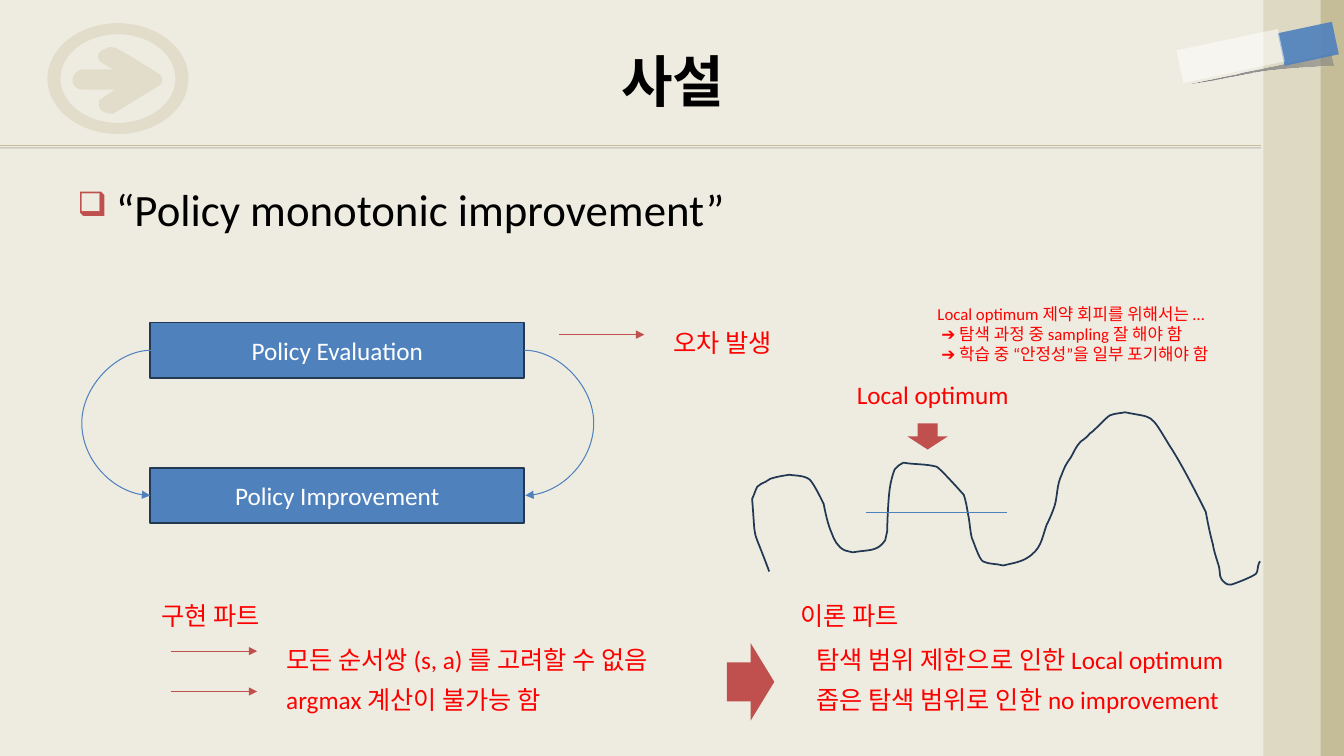
from itertools import chain

from lxml.etree import SubElement
from pptx import Presentation
from pptx.dml.color import RGBColor
from pptx.enum.shapes import MSO_CONNECTOR, MSO_SHAPE
from pptx.enum.text import MSO_ANCHOR, MSO_AUTO_SIZE, PP_ALIGN
from pptx.oxml.ns import qn
from pptx.util import Inches, Pt

COLORS = {
    "paper": "EEECE1", "sand": "C4BD97", "light sand": "DDD9C3", "blue": "4F81BD",
    "navy": "233953", "brick": "C0504D", "red": "FF0000", "white": "FFFFFF",
    "black": "000000", "gray": "808080",
}
FONT = "Calibri"
TITLE = "사설"
HEADLINE = "“Policy monotonic improvement”"
STEPS = [("Policy Evaluation", 3.2), ("Policy Improvement", 4.64)]
STEP_LEFT, STEP_WIDTH, STEP_HEIGHT = 1.49, 3.71, 0.55
LOOP_BULGE = 0.7

# lines, left, top, width, height, size
NOTES = [
    (["오차 발생"], 6.58, 3.2, 1.26, 0.4, 18),
    (["모든 순서쌍 (s, a) 를 고려할 수 없음"], 2.74, 6.34, 4.03, 0.4, 18),
    (["argmax 계산이 불가능 함"], 2.74, 6.74, 2.91, 0.4, 18),
    (["구현 파트"], 1.5, 5.91, 1.26, 0.4, 18),
    (["탐색 범위 제한으로 인한 Local optimum"], 8, 6.34, 4.55, 0.4, 18),
    (["좁은 탐색 범위로 인한 no improvement"], 8, 6.74, 4.41, 0.4, 18),
    (["이론 파트"], 7.84, 5.91, 1.26, 0.4, 18),
    (["Local optimum"], 8.4, 3.71, 1.77, 0.4, 18),
    (["Local optimum 제약 회피를 위해서는 …",
      " ➔ 탐색 과정 중 sampling 잘 해야 함",
      " ➔ 학습 중 “안정성”을 일부 포기해야 함"], 9.2, 2.96, 3.1, 0.71, 12),
]
NOTE_ARROWS = [(5.54, 3.32), (1.7, 6.46), (1.7, 6.86)]
NOTE_ARROW_LENGTH = 0.85
BLOCK_ARROWS = [(7.21, 6.38, 0.47, 0.77, 0), (9.07, 4.13, 0.26, 0.4, 90)]

# Outlines: start point, then two numbers for a line or six for a Bezier curve
REWARD_CURVE = [
    (7.63, 5.67), (7.45, 5.18, 7.5, 5.43, 7.46, 4.95), (7.48, 4.91, 7.49, 4.87, 7.51, 4.83),
    (7.52, 4.82, 7.54, 4.81, 7.55, 4.8), (7.58, 4.79, 7.61, 4.77, 7.64, 4.75),
    (7.7, 4.73, 7.76, 4.72, 7.83, 4.71), (7.87, 4.72, 8.01, 4.71, 8.05, 4.78),
    (8.1, 4.85, 8.17, 5, 8.17, 5), (8.19, 5.1, 8.21, 5.2, 8.25, 5.29),
    (8.27, 5.35, 8.31, 5.43, 8.38, 5.46), (8.4, 5.47, 8.43, 5.47, 8.46, 5.48),
    (8.61, 5.45, 8.7, 5.48, 8.78, 5.36), (8.79, 5.33, 8.79, 5.3, 8.8, 5.27),
    (8.8, 5.21, 8.81, 4.92, 8.83, 4.82), (8.83, 4.81, 8.86, 4.67, 8.88, 4.65),
    (8.9, 4.62, 8.93, 4.61, 8.96, 4.59), (9.07, 4.61, 9.18, 4.6, 9.29, 4.63),
    (9.33, 4.65, 9.56, 4.91, 9.56, 4.91), (9.58, 4.97, 9.59, 5.03, 9.6, 5.09),
    (9.62, 5.18, 9.62, 5.26, 9.64, 5.34), (9.65, 5.35, 9.71, 5.55, 9.75, 5.57),
    (9.81, 5.6, 9.88, 5.59, 9.95, 5.61), (10.03, 5.59, 10.11, 5.58, 10.18, 5.54),
    (10.33, 5.45, 10.33, 5.35, 10.38, 5.21), (10.41, 5.15, 10.44, 5.08, 10.46, 5.02),
    (10.49, 4.92, 10.48, 4.81, 10.53, 4.71), (10.56, 4.63, 10.57, 4.61, 10.62, 4.54),
    (10.65, 4.49, 10.67, 4.43, 10.72, 4.38), (10.75, 4.36, 10.79, 4.33, 10.81, 4.3),
    (10.85, 4.28, 10.97, 4.14, 11.01, 4.12), (11.06, 4.1, 11.11, 4.1, 11.16, 4.09),
    (11.45, 4.15, 11.4, 4.09, 11.6, 4.42), (11.74, 4.63, 11.96, 5.08, 11.96, 5.08),
    (11.98, 5.19, 12, 5.29, 12.03, 5.4), (12.04, 5.47, 12.07, 5.55, 12.09, 5.62),
    (12.11, 5.71, 12.08, 5.73, 12.16, 5.79), (12.17, 5.8, 12.19, 5.8, 12.21, 5.8),
    (12.25, 5.79, 12.43, 5.72, 12.46, 5.69), (12.48, 5.66, 12.47, 5.62, 12.49, 5.58),
    (12.49, 5.58, 12.49, 5.57, 12.5, 5.57),
]
ICON_ARROW = [
    (1.57, 0.73), (1.49, 0.68, 1.23, 0.51, 1.13, 0.47), (1.07, 0.46, 1.06, 0.48, 1.01, 0.5),
    (0.97, 0.52, 0.96, 0.57, 0.99, 0.61), (1.12, 0.69), (0.81, 0.69),
    (0.74, 0.71, 0.72, 0.76, 0.72, 0.79), (0.71, 0.83, 0.74, 0.88, 0.81, 0.89),
    (1.14, 0.89), (0.99, 0.99), (0.97, 1.02, 0.98, 1.07, 1, 1.09),
    (1.02, 1.11, 1.06, 1.13, 1.12, 1.13), (1.35, 0.99, 1.58, 0.85, 1.58, 0.85),
    (1.61, 0.82, 1.61, 0.81, 1.61, 0.79), (1.61, 0.77, 1.6, 0.75, 1.57, 0.73),
]
TAPE_SHADOW = [
    (13.2, 0.53), (13.23, 0.65), (12.38, 0.68, 12.2, 0.78, 11.8, 0.83),
    (12.27, 0.73, 12.73, 0.64, 13.2, 0.53),
]
ICON_CENTER, ICON_RADII = (1.17, 0.78), [(0.7, 0.55), (0.57, 0.44)]
SIDE_BANDS = [(12.55, 0.79, "sand"), (12.53, 0.57, "light sand")]
TAPES = [(12.81, 0.16, 0.33, 0.55, "blue", 90), (12.04, 0.04, 0.33, 1.03, "white", 50)]

prs = Presentation()
prs.slide_width, prs.slide_height = Inches(13.33), Inches(7.5)
slide = prs.slides.add_slide(prs.slide_layouts[6])
shapes = slide.shapes


def rgb(name):
    return RGBColor.from_string(COLORS[name])


def set_alpha(color_parent, percent):
    for color in color_parent.iter(qn("a:srgbClr")):
        SubElement(color, qn("a:alpha"), val=str(percent * 1000))


def paint(shape, fill=None, line=None, alpha=None, rotation=0):
    shape.shadow.inherit = False
    shape.rotation = rotation
    if fill:
        shape.fill.solid()
        shape.fill.fore_color.rgb = rgb(fill)
        if alpha:
            set_alpha(shape.fill._xPr.find(qn("a:solidFill")), alpha)
    else:
        shape.fill.background()
    if line:
        shape.line.color.rgb = rgb(line)
        shape.line.width = Pt(1.25)
    else:
        shape.line.fill.background()
    return shape


def add_preset(kind, left, top, width, height, **look):
    return paint(shapes.add_shape(kind, *map(Inches, (left, top, width, height))), **look)


def add_outline(*contours, close=True):
    """Build the outline from its end points, then bend the six-number parts."""
    builder = shapes.build_freeform(*map(Inches, contours[0][0]))
    for number, contour in enumerate(contours):
        if number:
            builder.move_to(*map(Inches, contour[0]))
        builder.add_line_segments([tuple(map(Inches, part[-2:])) for part in contour[1:]], close)
    shape = builder.convert_to_shape()
    segments = list(shape._element.iter(qn("a:lnTo")))
    for segment, part in zip(segments, chain(*(contour[1:] for contour in contours))):
        if len(part) == 6:
            segment.tag = qn("a:cubicBezTo")
            for position, (x, y) in enumerate((part[:2], part[2:4])):
                control = SubElement(segment, qn("a:pt"), x=str(Inches(x) - shape.left),
                                     y=str(Inches(y) - shape.top))
                segment.insert(position, control)
    return shape


def ellipse(radius_x, radius_y, bend=0.55):
    x, y = ICON_CENTER
    quarters = [(0, -1), (1, 0), (0, 1), (-1, 0), (0, -1)]
    outline = [(x, y - radius_y)]
    for (ax, ay), (bx, by) in zip(quarters, quarters[1:]):
        corners = (ax + bend * bx, ay + bend * by), (bx + bend * ax, by + bend * ay), (bx, by)
        outline.append(tuple(chain(*((x + radius_x * u, y + radius_y * v) for u, v in corners))))
    return outline


def add_line(start, end, color, arrow=False, kind=MSO_CONNECTOR.STRAIGHT):
    line = shapes.add_connector(kind, *map(Inches, (*start, *end)))
    line.line.color.rgb = rgb(color)
    line.line.width = Pt(0.75)
    if arrow:
        SubElement(line.line._get_or_add_ln(), qn("a:tailEnd"), type="triangle")
    SubElement(line._element.spPr, qn("a:effectLst"))
    return line


def write(shape, lines, size, color, align=PP_ALIGN.LEFT, bold=False):
    frame = shape.text_frame
    frame.text = "\n".join(lines)
    for paragraph in frame.paragraphs:
        paragraph.alignment = align
        for run in paragraph.runs:
            run.font.name, run.font.size, run.font.bold = FONT, Pt(size), bold
            run.font.color.rgb = rgb(color)
            SubElement(run.font._element, qn("a:ea"), typeface=FONT)
    return frame


def add_text(lines, left, top, width, height, size, color, wrap=True, **style):
    box = shapes.add_textbox(*map(Inches, (left, top, width, height)))
    frame = write(box, lines, size, color, **style)
    frame.word_wrap = wrap
    frame.auto_size = MSO_AUTO_SIZE.NONE if wrap else MSO_AUTO_SIZE.SHAPE_TO_FIT_TEXT
    return frame


slide.background.fill.solid()
slide.background.fill.fore_color.rgb = rgb("paper")
rule = add_line((0, 1.44), (12.51, 1.44), "sand")
rule_shadow = SubElement(rule._element.spPr.find(qn("a:effectLst")), qn("a:outerShdw"),
                         dist=str(Pt(2)), dir="5400000")
SubElement(rule_shadow, qn("a:srgbClr"), val=COLORS["black"])
set_alpha(rule_shadow, 22)
paint(add_outline(ICON_ARROW), fill="sand", alpha=30)
paint(add_outline(*(ellipse(*radii) for radii in ICON_RADII)), fill="sand", alpha=30)
for left, width, color in SIDE_BANDS:
    add_preset(MSO_SHAPE.RECTANGLE, left, 0, width, 7.5, fill=color)
tape_shadow = paint(add_outline(TAPE_SHADOW))
tape_shadow.fill.gradient()
tape_shadow.fill.gradient_angle = 0
for stop, alpha in zip(tape_shadow.fill.gradient_stops, (100, 56)):
    stop.color.rgb = rgb("gray")
    set_alpha(stop._gs, alpha)
for *place, color, alpha in TAPES:
    add_preset(MSO_SHAPE.RECTANGLE, *place, fill=color, alpha=alpha, rotation=78)

headline = add_text([HEADLINE], 0.67, 1.75, 11.83, 4.95, 32, "black").paragraphs[0]
bullet = headline._p.get_or_add_pPr()
bullet.set("marL", str(Inches(0.38)))
bullet.set("indent", str(Inches(-0.38)))
SubElement(SubElement(bullet, qn("a:buClr")), qn("a:srgbClr"), val=COLORS["brick"])
SubElement(bullet, qn("a:buSzPct"), val="75000")
SubElement(bullet, qn("a:buFont"), typeface="Wingdings")
SubElement(bullet, qn("a:buChar"), char="q")
title = add_text([TITLE], 0.67, 0.17, 12, 1.25, 40, "black", align=PP_ALIGN.CENTER, bold=True)
title.vertical_anchor = MSO_ANCHOR.MIDDLE

for label, top in STEPS:
    step = add_preset(MSO_SHAPE.RECTANGLE, STEP_LEFT, top, STEP_WIDTH, STEP_HEIGHT,
                      fill="blue", line="navy")
    write(step, [label], 18, "white", align=PP_ALIGN.CENTER).vertical_anchor = MSO_ANCHOR.MIDDLE
loop_start, loop_end = (top + STEP_HEIGHT / 2 for _, top in STEPS)
for side, outward in ((STEP_LEFT, -0.01), (STEP_LEFT + STEP_WIDTH, 0.01)):
    start_x = side - min(outward, 0)
    loop = add_line((start_x, loop_start), (start_x + outward, loop_end), "blue",
                    arrow=True, kind=MSO_CONNECTOR.CURVE)
    guides = loop._element.spPr.find(qn("a:prstGeom")).get_or_add_avLst()
    SubElement(guides, qn("a:gd"), name="adj1", fmla=f"val {round(LOOP_BULGE / 0.01 * 100000)}")

paint(add_outline(REWARD_CURVE, close=False), line="navy")
add_line((8.59, 5.08), (9.99, 5.08), "blue")
for x, y in NOTE_ARROWS:
    add_line((x, y), (x + NOTE_ARROW_LENGTH, y), "brick", arrow=True)
for *place, rotation in BLOCK_ARROWS:
    add_preset(MSO_SHAPE.RIGHT_ARROW, *place, fill="brick", rotation=rotation)
for lines, *place, size in NOTES:
    add_text(lines, *place, size, "red", wrap=False)

prs.save("out.pptx")
